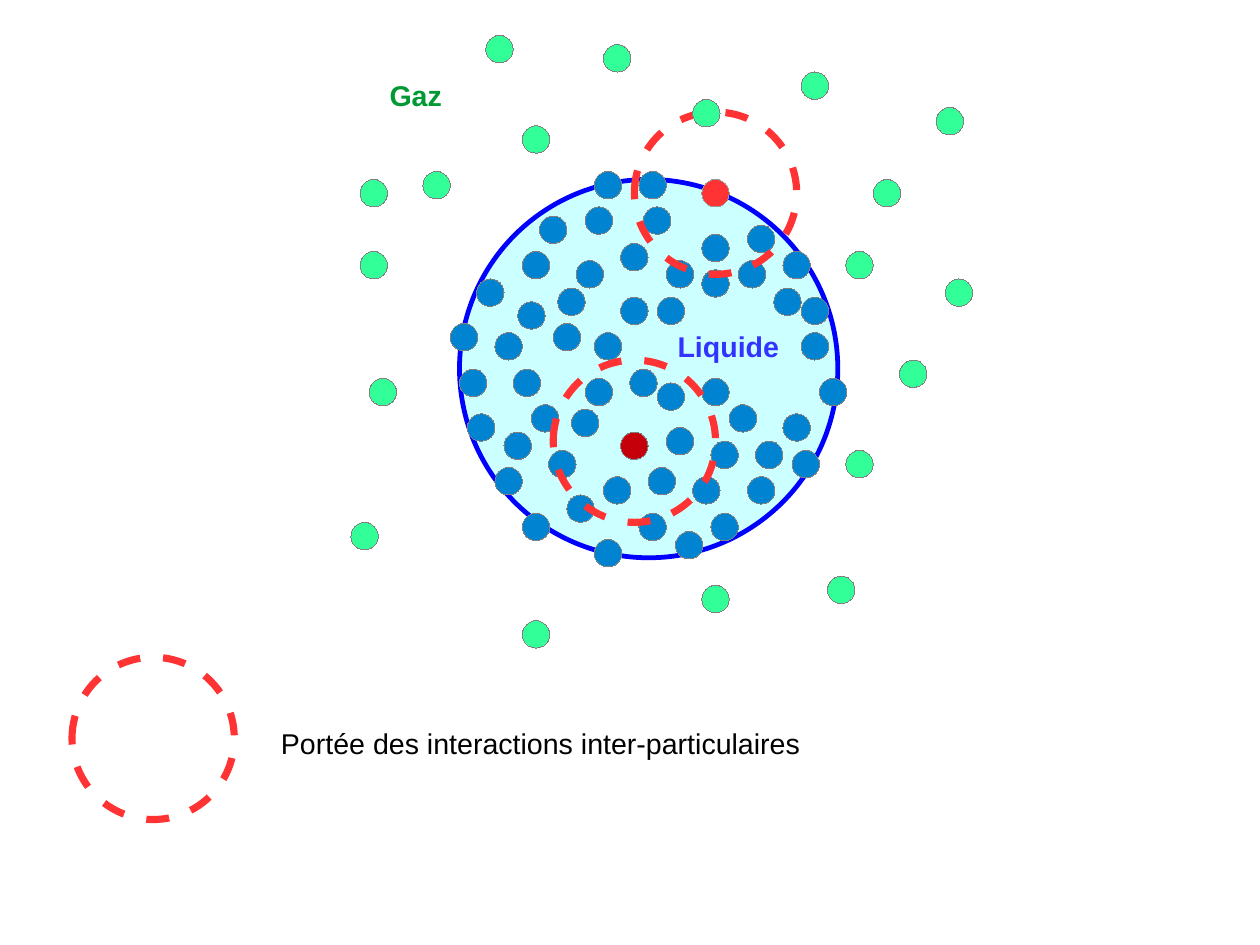
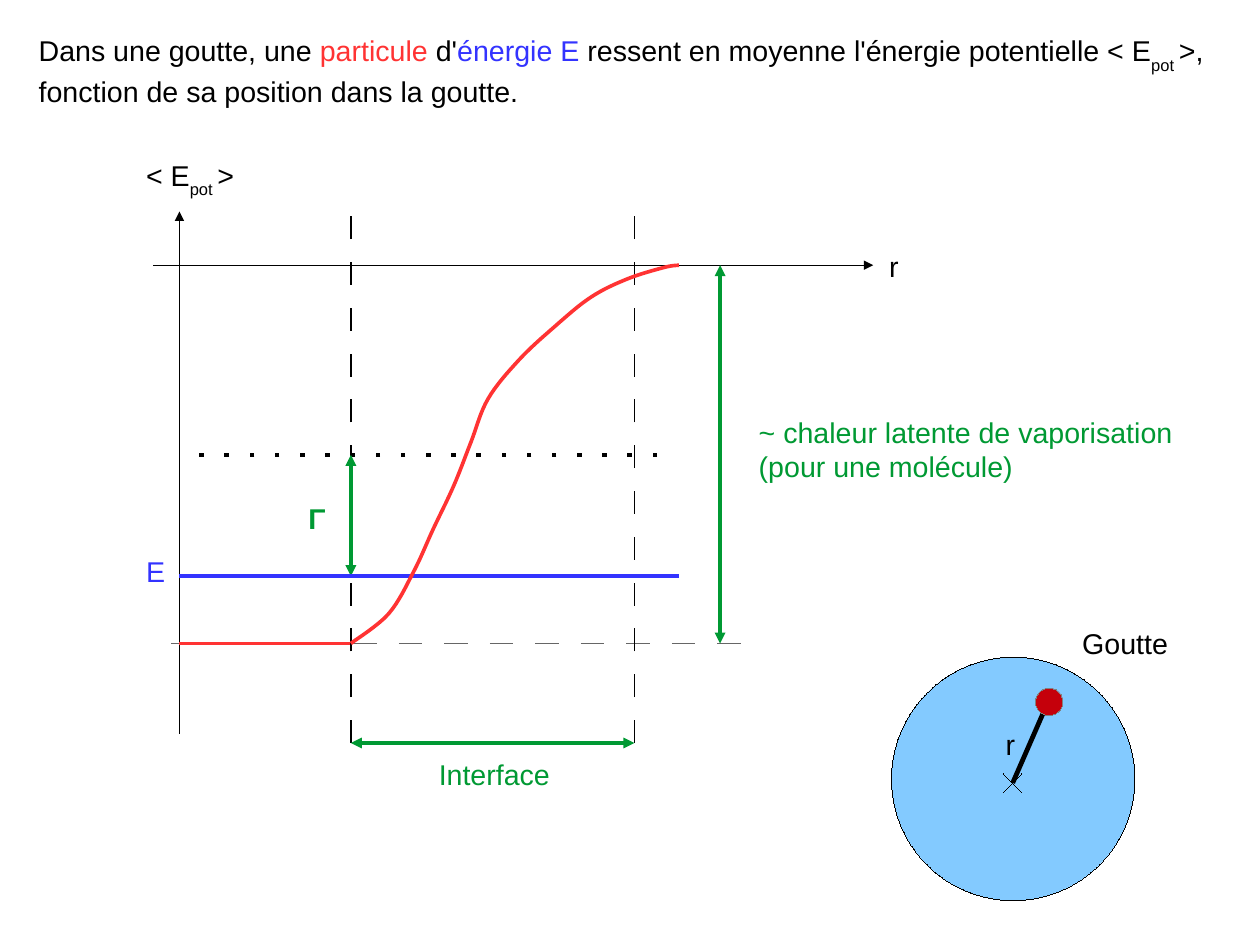
from pptx import Presentation
from pptx.dml.color import RGBColor
from pptx.enum.shapes import MSO_CONNECTOR, MSO_SHAPE
from pptx.enum.text import MSO_AUTO_SIZE
from pptx.oxml.ns import qn
from pptx.util import Inches, Pt
from lxml.etree import SubElement

SLIDE_WIDTH = 28 / 2.54
SLIDE_HEIGHT = 21 / 2.54
FONT = "Arial"
FONT_SIZE = 18
BLACK = RGBColor(0x00, 0x00, 0x00)
GREY = RGBColor(0x80, 0x80, 0x80)
LIGHT_GREY = RGBColor(0x99, 0x99, 0x99)
DARK_GREY = RGBColor(0x66, 0x66, 0x66)
RED = RGBColor(0xFF, 0x33, 0x33)
DARK_RED = RGBColor(0xC5, 0x00, 0x0B)
GREEN = RGBColor(0x00, 0x99, 0x33)
BLUE = RGBColor(0x33, 0x33, 0xFF)
EDGE_BLUE = RGBColor(0x00, 0x00, 0xFF)
LIQUID_BLUE = RGBColor(0x00, 0x84, 0xD1)
PALE_CYAN = RGBColor(0xCC, 0xFF, 0xFF)
GAS_GREEN = RGBColor(0x33, 0xFF, 0x99)
DROP_BLUE = RGBColor(0x83, 0xCA, 0xFF)

HAIRLINE = 0
THICK = 2.3
PARTICLE_SIZE = 0.24
RANGE_SIZE = 1.42
DASH = (0.2, 0.2)
FINE_DASH = (0.2, 0.19)
DOT = (0.04, 0.18)

LIQUID_PARTICLES = [
    (5.12, 1.81), (5.75, 2.6), (6.06, 4.17), (6.22, 4.49), (6.54, 4.17), (5.43, 2.13),
    (5.75, 3.35), (6.22, 3.86), (5.63, 1.81), (6.14, 3.31), (6.38, 3.54), (6.61, 3.86),
    (5.83, 2.28), (6.46, 2.28), (6.77, 2.52), (6.85, 3.62), (5.43, 2.6), (5.51, 3.23),
    (5.83, 3.74), (5.59, 4.49), (5.04, 2.28), (6.93, 3.94), (4.96, 4.33), (5.28, 4.17),
    (5.67, 4.09), (6.14, 2.05), (6.14, 2.36), (6.85, 2.2), (7.01, 2.91), (5.12, 3.31),
    (4.84, 2.83), (4.65, 3.54), (4.33, 2.91), (4.17, 2.44), (4.57, 2.2), (4.72, 1.89),
    (4.88, 2.52), (4.49, 3.23), (5, 3.58), (4.53, 2.64), (6.54, 1.97), (5.2, 4.72),
    (4.57, 4.49), (4.33, 4.09), (4.8, 3.94), (4.41, 3.78), (4.09, 3.62), (4.02, 3.23),
    (3.94, 2.83), (5.2, 1.5), (5.59, 1.5), (7.17, 3.31), (5.2, 2.91), (5.91, 4.65),
    (7.01, 2.6),
]
GAS_PARTICLES = [
    (7.01, 0.63), (7.64, 1.57), (8.19, 0.94), (8.27, 2.44), (7.4, 2.2), (7.87, 3.15),
    (7.4, 3.94), (7.24, 5.04), (6.06, 0.87), (5.28, 0.39), (4.57, 1.1), (4.25, 0.31),
    (3.7, 1.5), (3.15, 2.2), (3.15, 1.57), (3.23, 3.31), (6.14, 5.12), (4.57, 5.43),
    (3.07, 4.57),
]
RANGE_CIRCLES = [(4.84, 3.15), (5.55, 0.98)]
LEGEND_CIRCLE = (0.63, 5.75)
PHASE_LABELS = [
    (3.31, 0.63, 0.71, 0.39, [[("Gaz", GREEN)]], True),
    (5.83, 2.83, 1.1, 0.39, [[("Liquide", BLUE)]], True),
    (2.36, 6.3, 4.8, 0.38, [[("Portée des interactions inter-particulaires", BLACK)]], False),
]

AXIS_X, AXIS_Y = 1.57, 2.32
INNER_X, OUTER_X = 3.07, 5.55
CURVE_END_X = 5.94
LATENT_X = 6.3
WELL_Y, ENERGY_Y, BARRIER_Y = 5.63, 5.04, 3.98
TOP_Y, BOTTOM_Y = 1.85, 6.5
DROP_X, DROP_Y = 8.86, 6.85
CROSS_ARM = 0.08

POTENTIAL_CURVE = [
    (INNER_X, WELL_Y), (3.4, 5.37), (3.62, 5), (3.79, 4.63), (3.97, 4.25), (4.12, 3.87),
    (4.27, 3.49), (4.54, 3.15), (4.85, 2.86), (5.17, 2.6), (5.49, 2.44), (5.81, 2.34),
    (CURVE_END_X, AXIS_Y),
]
GRAPH_LINES = [
    (AXIS_X, 6.42, AXIS_X, TOP_Y, BLACK, HAIRLINE, None, "tail"),
    (1.34, AXIS_Y, 7.64, AXIS_Y, BLACK, HAIRLINE, None, "tail"),
    (1.5, WELL_Y, 6.61, WELL_Y, DARK_GREY, 0.25, FINE_DASH, ""),
    (AXIS_X, WELL_Y, INNER_X, WELL_Y, RED, THICK, None, ""),
    (INNER_X, BOTTOM_Y, INNER_X, TOP_Y, BLACK, 0.99, DASH, ""),
    (OUTER_X, BOTTOM_Y, OUTER_X, TOP_Y, BLACK, 0.99, DASH, ""),
    (INNER_X, BOTTOM_Y, OUTER_X, BOTTOM_Y, GREEN, THICK, None, "head tail"),
    (LATENT_X, WELL_Y, LATENT_X, AXIS_Y, GREEN, THICK, None, "head tail"),
    (5.75, BARRIER_Y, AXIS_X, BARRIER_Y, BLACK, 3, DOT, ""),
    (INNER_X, ENERGY_Y, INNER_X, BARRIER_Y, GREEN, THICK, None, "head tail"),
    (AXIS_X, ENERGY_Y, CURVE_END_X, ENERGY_Y, BLUE, THICK, None, ""),
]
GRAPH_LABELS = [
    (0.24, 0.24, 10.47, 1, [
        [("Dans une goutte, une ", BLACK), ("particule", RED), (" d'", BLACK),
         ("énergie E", BLUE), (" ressent en moyenne l'énergie potentielle < E", BLACK),
         ("pot ", BLACK, True), (">,", BLACK)],
        [("fonction de sa position dans la goutte.", BLACK)],
    ], False),
    (1.18, 1.33, 2.28, 0.44, [[("< E", BLACK), ("pot ", BLACK, True), (">", BLACK)]], False),
    (7.68, 2.13, 0.63, 0.38, [[("r", BLACK)]], False),
    (3.74, 6.57, 1.18, 0.39, [[("Interface", GREEN)]], False),
    (6.54, 3.58, 3.86, 0.94,
     [[("~ chaleur latente de vaporisation (pour une molécule)", GREEN)]], False),
    (2.6, 4.33, 0.39, 0.39, [[("Γ", GREEN)]], True),
    (1.18, 4.8, 0.63, 0.38, [[("E", BLUE)]], False),
    (8.7, 6.31, 0.63, 0.38, [[("r", BLACK)]], False),
    (9.37, 5.43, 1.02, 0.38, [[("Goutte", BLACK)]], False),
]


def style_line(shape, color, width, dash=None, arrows=""):
    shape.line.color.rgb = color
    outline = shape.element.spPr.find(qn("a:ln"))
    outline.set("w", str(Pt(width)))
    if dash:
        pattern = SubElement(outline, qn("a:custDash"))
        on, off = (str(round(length * 72 / width * 100000)) for length in dash)
        SubElement(pattern, qn("a:ds"), d=on, sp=off)
    for end in arrows.split():
        SubElement(outline, qn(f"a:{end}End"), type="triangle")


def add_circle(slide, left, top, size, fill, color, width=HAIRLINE, dash=None):
    shape = slide.shapes.add_shape(
        MSO_SHAPE.OVAL, Inches(left), Inches(top), Inches(size), Inches(size))
    shape.shadow.inherit = False
    if fill is None:
        shape.fill.background()
    else:
        shape.fill.solid()
        shape.fill.fore_color.rgb = fill
    style_line(shape, color, width, dash)


def add_particle(slide, left, top, fill, color=GREY):
    add_circle(slide, left, top, PARTICLE_SIZE, fill, color)


def add_range(slide, left, top):
    add_circle(slide, left, top, RANGE_SIZE, None, RED, 4.5, DASH)


def add_line(slide, x1, y1, x2, y2, color, width, dash=None, arrows=""):
    connector = slide.shapes.add_connector(
        MSO_CONNECTOR.STRAIGHT, Inches(x1), Inches(y1), Inches(x2), Inches(y2))
    style_line(connector, color, width, dash, arrows)
    SubElement(connector.element.spPr, qn("a:effectLst"))


def add_label(slide, left, top, width, height, lines, bold):
    box = slide.shapes.add_textbox(Inches(left), Inches(top), Inches(width), Inches(height))
    frame = box.text_frame
    frame.word_wrap = True
    frame.auto_size = MSO_AUTO_SIZE.SHAPE_TO_FIT_TEXT
    for index, pieces in enumerate(lines):
        paragraph = frame.add_paragraph() if index else frame.paragraphs[0]
        paragraph.font.name = FONT
        paragraph.font.size = Pt(FONT_SIZE)
        paragraph.font.bold = bold
        for text, color, *subscript in pieces:
            run = paragraph.add_run()
            run.text = text
            run.font.color.rgb = color
            if subscript:
                run._r.get_or_add_rPr().set("baseline", "-33000")


def smooth_points(anchors, steps=8):
    padded = [anchors[0], *anchors, anchors[-1]]
    points = [anchors[0]]
    for neighbours in zip(padded, padded[1:], padded[2:], padded[3:]):
        for step in range(1, steps + 1):
            t = step / steps
            points.append(tuple(
                b + ((c - a) * t + (2 * a - 5 * b + 4 * c - d) * t ** 2
                     + (3 * b - a - 3 * c + d) * t ** 3) / 2
                for a, b, c, d in zip(*neighbours)))
    return points


def add_curve(slide, anchors, color, width):
    start, *rest = [(Inches(x), Inches(y)) for x, y in smooth_points(anchors)]
    builder = slide.shapes.build_freeform(*start)
    builder.add_line_segments(rest, close=False)
    curve = builder.convert_to_shape()
    curve.shadow.inherit = False
    curve.fill.background()
    style_line(curve, color, width)


def build_particles(slide):
    add_circle(slide, 4.02, 1.57, 3.31, PALE_CYAN, EDGE_BLUE, 3)
    for left, top in LIQUID_PARTICLES:
        add_particle(slide, left, top, LIQUID_BLUE)
    for left, top in RANGE_CIRCLES:
        add_range(slide, left, top)
    for left, top in GAS_PARTICLES:
        add_particle(slide, left, top, GAS_GREEN)
    add_range(slide, *LEGEND_CIRCLE)
    for label in PHASE_LABELS:
        add_label(slide, *label)
    add_particle(slide, 6.14, 1.57, RED, LIGHT_GREY)
    add_particle(slide, 5.43, 3.78, DARK_RED)


def build_potential(slide):
    for line in GRAPH_LINES:
        add_line(slide, *line)
    add_curve(slide, POTENTIAL_CURVE, RED, THICK)
    add_circle(slide, 7.8, 5.75, 2.13, DROP_BLUE, BLACK)
    add_line(slide, DROP_X, DROP_Y, 9.17, 6.14, BLACK, 3)
    add_particle(slide, 9.06, 6.02, DARK_RED)
    for rise in (CROSS_ARM, -CROSS_ARM):
        add_line(slide, DROP_X - CROSS_ARM, DROP_Y - rise,
                 DROP_X + CROSS_ARM, DROP_Y + rise, BLACK, HAIRLINE)
    for label in GRAPH_LABELS:
        add_label(slide, *label)


def main():
    presentation = Presentation()
    presentation.slide_width = Inches(SLIDE_WIDTH)
    presentation.slide_height = Inches(SLIDE_HEIGHT)
    for build in (build_particles, build_potential):
        build(presentation.slides.add_slide(presentation.slide_layouts[6]))
    presentation.save("out.pptx")


if __name__ == "__main__":
    main()
